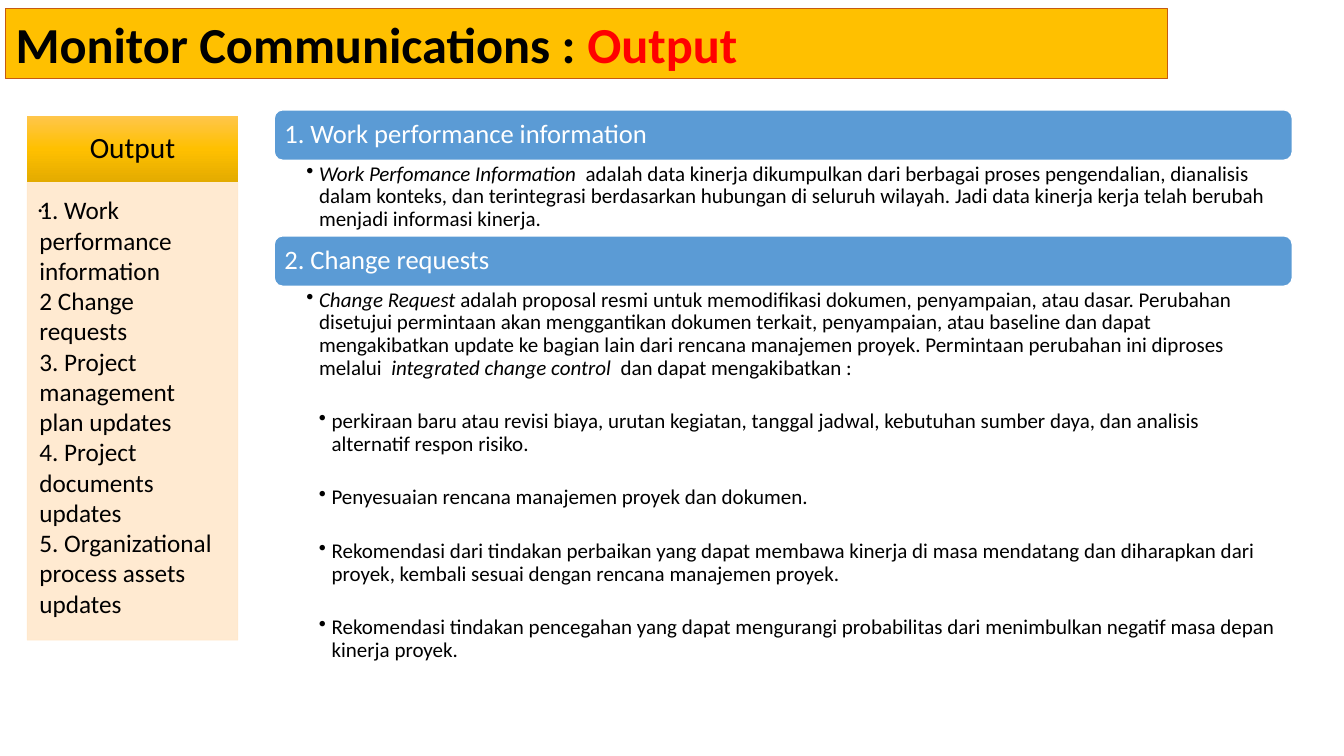
"""Build the Monitor Communications output slide."""
import copy

import pptx
import pptx.dml.color
import pptx.enum.shapes
import pptx.enum.text
import pptx.oxml.ns
import pptx.util
from lxml import etree

Pt = pptx.util.Pt
qn = pptx.oxml.ns.qn
SHAPE = pptx.enum.shapes.MSO_SHAPE
ANCHOR = pptx.enum.text.MSO_ANCHOR
ALIGN = pptx.enum.text.PP_ALIGN

TITLE = [("Monitor Communications : ", {}), ("Output", {"color": "FF0000"})]
HEADING = "Output"
PANEL_MARK = ".."
OUTPUTS = [
    "1. Work performance information",
    "2 Change requests",
    "3. Project management plan updates",
    "4. Project documents updates",
    "5. Organizational process assets updates",
]
ITALIC = {"italic": True}
SECTIONS = [
    ("1. Work performance information", 54, [
        (1, [("Work Perfomance Information  ", ITALIC),
             ("adalah data kinerja dikumpulkan dari berbagai proses pengendalian, "
              "dianalisis dalam konteks, dan terintegrasi berdasarkan hubungan di "
              "seluruh wilayah. Jadi data kinerja kerja telah berubah menjadi "
              "informasi kinerja.", {})]),
    ]),
    ("2. Change requests", 285, [
        (1, [("Change Request ", ITALIC),
             ("adalah proposal resmi untuk memodifikasi dokumen, penyampaian, atau "
              "dasar. Perubahan disetujui permintaan akan menggantikan dokumen "
              "terkait, penyampaian, atau baseline dan dapat mengakibatkan update "
              "ke bagian lain dari rencana manajemen proyek. Permintaan perubahan "
              "ini diproses melalui  ", {}),
             ("integrated change control  ", ITALIC),
             ("dan dapat mengakibatkan :", {})]),
        (2, [("perkiraan baru atau revisi biaya, urutan kegiatan, tanggal jadwal, "
              "kebutuhan sumber daya, dan analisis alternatif respon risiko.", {})]),
        (2, [("Penyesuaian rencana manajemen proyek dan dokumen.", {})]),
        (2, [("Rekomendasi dari tindakan perbaikan yang dapat membawa kinerja di "
              "masa mendatang dan diharapkan dari proyek, kembali sesuai dengan "
              "rencana manajemen proyek.", {})]),
        (2, [("Rekomendasi tindakan pencegahan yang dapat mengurangi probabilitas "
              "dari menimbulkan negatif masa depan kinerja proyek.", {})]),
    ]),
]
GRADIENT = [(0, "FFC64B"), (0.5, "FFC000"), (1, "E3AB00")]
PANEL_LEFT, PANEL_TOP, PANEL_W, HEAD_H, PANEL_H = 19.4, 82.8, 150.5, 47.5, 326.9
SECTION_LEFT, SECTION_TOP, SECTION_W, BAR_H = 195.9, 78.5, 727.2, 36
INDENT, BULLET_GAP = 9, 22


def rgb(color):
    return pptx.dml.color.RGBColor.from_string(color)


def set_all(obj, values):
    for name, value in values.items():
        setattr(obj, name, value)


def write(sp, paragraphs, insets, font, anchor=ANCHOR.TOP, **para):
    tf = sp.text_frame
    sides = ("margin_left", "margin_top", "margin_right", "margin_bottom")
    set_all(tf, {"word_wrap": True, "vertical_anchor": anchor,
                 **dict(zip(sides, map(Pt, insets)))})
    for i, runs in enumerate(paragraphs):
        p = tf.paragraphs[0] if i == 0 else tf.add_paragraph()
        set_all(p, {"alignment": ALIGN.LEFT, **para})
        for text, extra in runs:
            r = p.add_run()
            r.text = text
            values = {"name": "Calibri", "color": "000000", **font, **extra}
            r.font.color.rgb = rgb(values.pop("color"))
            set_all(r.font, values)
    return tf


def add_box(s, kind, box, fill=None, line=None, width=1):
    sp = s.shapes.add_shape(kind, *map(Pt, box))
    sp.shadow.inherit = False
    if fill:
        sp.fill.solid()
        sp.fill.fore_color.rgb = rgb(fill)
    if line:
        sp.line.color.rgb = rgb(line)
        sp.line.width = Pt(width)
    else:
        sp.line.fill.background()
    return sp


def add_gradient(sp, stops):
    sp.fill.gradient()
    sp.fill.gradient_angle = 270
    gs_list = sp._element.spPr.find(".//" + qn("a:gsLst"))
    gs_list.append(copy.deepcopy(gs_list[-1]))
    for stop, (position, color) in zip(sp.fill.gradient_stops, stops):
        stop.position = position
        stop.color.rgb = rgb(color)


def add_bullet(p, level):
    pPr = p._p.get_or_add_pPr()
    pPr.set("marL", str(Pt(INDENT * level)))
    pPr.set("indent", str(-Pt(INDENT)))
    etree.SubElement(pPr, qn("a:buChar")).set("char", "•")


def add_panel(s):
    head = add_box(s, SHAPE.RECTANGLE, (PANEL_LEFT, PANEL_TOP, PANEL_W, HEAD_H))
    add_gradient(head, GRADIENT)
    write(head, [[(HEADING, {})]], (11.5, 6.5, 11.5, 6.5), {"size": Pt(21)},
          ANCHOR.MIDDLE, alignment=ALIGN.CENTER, line_spacing=0.9)
    box = (PANEL_LEFT, PANEL_TOP + HEAD_H, PANEL_W, PANEL_H)
    body = add_box(s, SHAPE.RECTANGLE, box, "FFE8CC", "FFE8CC", 0.5)
    for clr in list(body._element.spPr.iter(qn("a:srgbClr"))):
        etree.SubElement(clr, qn("a:alpha")).set("val", "90000")
    write(body, [[(PANEL_MARK, {})]], (7.2, 3.6, 7.2, 3.6), {"size": Pt(18)})
    write(s.shapes.add_textbox(*map(Pt, box)), [[(t, {})] for t in OUTPUTS],
          (8.8, 8.8, 11.5, 13), {"size": Pt(18)})


def add_sections(s):
    top = SECTION_TOP
    for heading, height, bullets in SECTIONS:
        bar = add_box(s, SHAPE.ROUNDED_RECTANGLE,
                      (SECTION_LEFT, top, SECTION_W, BAR_H), "5B9BD5", "FFFFFF")
        write(bar, [[(heading, {})]], (5.5, 5, 5.5, 5),
              {"size": Pt(19), "color": "FFFFFF"}, ANCHOR.MIDDLE, line_spacing=0.9)
        top += BAR_H
        body = s.shapes.add_textbox(*map(Pt, (SECTION_LEFT, top, SECTION_W, height)))
        tf = write(body, [runs for _, runs in bullets], (23, 1.9, 10.7, 1.9),
                   {"size": Pt(15)}, line_spacing=0.9)
        for i, (p, (level, _)) in enumerate(zip(tf.paragraphs, bullets)):
            add_bullet(p, level)
            p.level = level
            if i:
                p.space_before = Pt(BULLET_GAP)
        top += height


def main():
    prs = pptx.Presentation()
    set_all(prs, {"slide_width": Pt(960), "slide_height": Pt(540)})
    s = prs.slides.add_slide(prs.slide_layouts[6])
    title = add_box(s, SHAPE.RECTANGLE, (4, 6, 830, 50.4), "FFC000", "C55A11", 0.75)
    write(title, [TITLE], (7.2, 3.6, 7.2, 3.6), {"size": Pt(36), "bold": True})
    add_panel(s)
    add_sections(s)
    prs.save("out.pptx")


if __name__ == "__main__":
    main()
